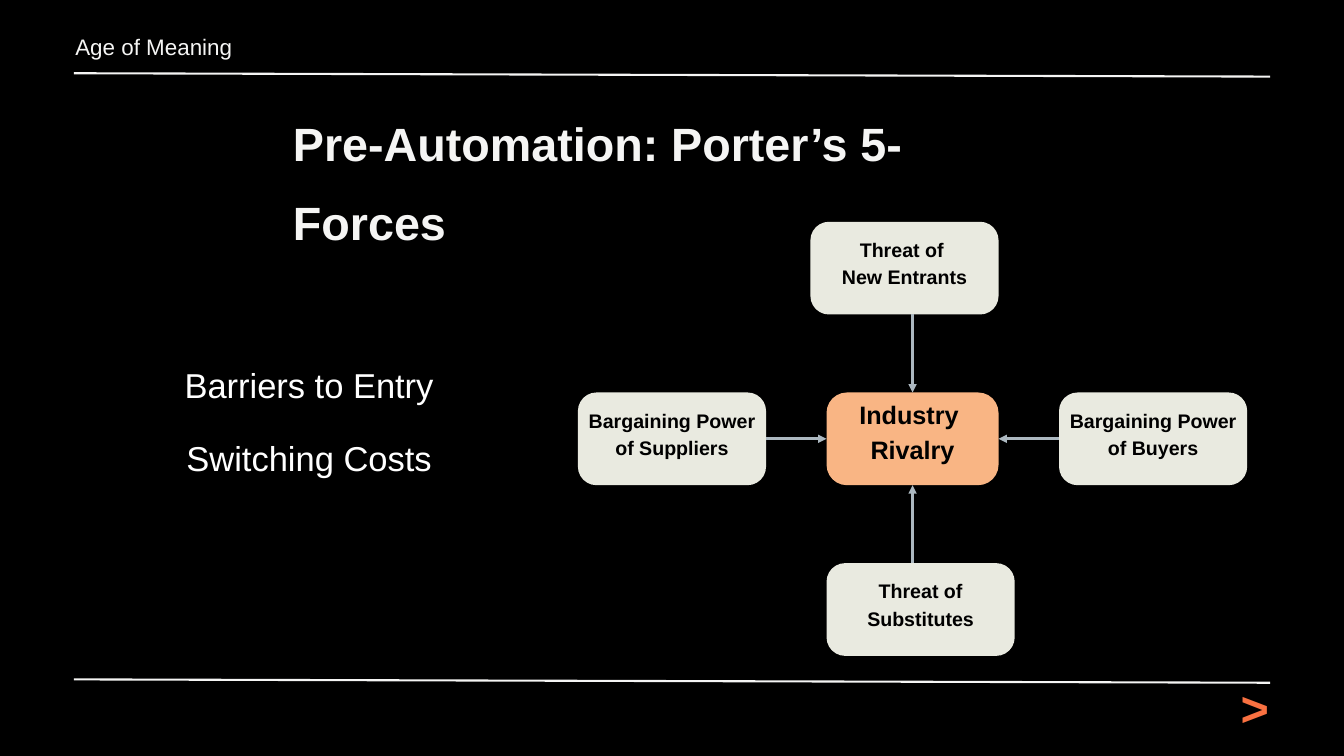
from dataclasses import dataclass

from lxml.etree import SubElement
from pptx import Presentation
from pptx.dml.color import RGBColor
from pptx.enum.shapes import MSO_CONNECTOR as Conn, MSO_SHAPE as Shape
from pptx.enum.text import MSO_ANCHOR as Anchor, PP_ALIGN as Align
from pptx.oxml.ns import qn
from pptx.util import Inches, Pt

COLS, ROWS = 1000, 562.5
CELL = Inches(20) / COLS
TOP, LEFT, BOTTOM, RIGHT = range(4)


@dataclass(frozen=True)
class Theme:
    """Colours as hex, type as (size, line spacing) in points."""
    font: str = "Arial"
    background: str = "000000"
    light: str = "F5F5F4"
    white: str = "FFFFFF"
    ink: str = "000000"
    card: str = "E9EAE0"
    core: str = "F9B584"
    arrow: str = "ACB8C0"
    accent: str = "F97141"
    header: tuple = (24, 40.3)
    title: tuple = (50, 84)
    point: tuple = (37, 51.8)
    force: tuple = (21, 29.4)
    rivalry: tuple = (27, 37.8)
    chevron: tuple = (52, 87.3)
    rule_width: float = 2.25
    arrow_width: float = 3


@dataclass(frozen=True)
class Box:
    """A rectangle measured in grid cells."""
    x: float
    y: float
    w: float
    h: float

    def sub(self, x, y, w, h):
        """Return a box placed relative to this one."""
        return Box(self.x + x, self.y + y, w, h)

    def emu(self):
        """Return left, top, width and height as lengths."""
        return [cells(v) for v in (self.x, self.y, self.w, self.h)]


T = Theme()


def cells(n):
    """Convert grid cells to a length."""
    return round(n * CELL)


def rgb(color):
    """Convert a hex string to a colour."""
    return RGBColor.from_string(color)


def write(sp, text, style, color, bold=False, align=Align.LEFT, anchor=Anchor.TOP, lift=0):
    """Fill a shape with formatted text, raised by half of lift cells."""
    tf = sp.text_frame
    tf.text = text
    tf.word_wrap = True
    tf.vertical_anchor = anchor
    tf.margin_left = tf.margin_right = 0
    tf.margin_top, tf.margin_bottom = cells(-lift / 2), cells(lift / 2)
    size, spacing = style
    for p in tf.paragraphs:
        p.alignment = align
        p.line_spacing = Pt(spacing)
        p.space_before = Pt(0)
        for r in p.runs:
            f = r.font
            f.name, f.size, f.bold = T.font, Pt(size), bold
            f.color.rgb = rgb(color)


def add_text(s, box, *args, **kwargs):
    """Add a text box."""
    write(s.shapes.add_textbox(*box.emu()), *args, **kwargs)


def add_line(s, x1, y1, x2, y2, color, width):
    """Add a straight line without shadow."""
    c = s.shapes.add_connector(Conn.STRAIGHT, *map(cells, (x1, y1, x2, y2)))
    c.line.color.rgb = rgb(color)
    c.line.width = Pt(width)
    SubElement(c._element.spPr, qn("a:effectLst"))
    return c


def add_rule(s, box):
    """Draw the slightly slanting rule across a box."""
    add_line(s, box.x, box.y, box.x + box.w, box.y + box.h, T.light, T.rule_width)


def add_header(s, box):
    """Place the running head and its rule."""
    add_text(s, box.sub(1, 0, 444, 26.5), "Age of Meaning", T.header, T.light)
    add_rule(s, box.sub(0, 38, box.w, 2.5))


def add_title(s, box):
    """Place the slide title."""
    sp = s.shapes.title
    sp.left, sp.top, sp.width, sp.height = box.emu()
    write(sp, "Pre-Automation: Porter’s 5-Forces", T.title, T.light, bold=True)


def add_points(s, box):
    """Stack the key points in equal rows."""
    points = ["Barriers to Entry", "Switching Costs"]
    for i, text in enumerate(points):
        row = box.sub(0, i * box.h / len(points), box.w, 34.5)
        add_text(s, row, text, T.point, T.white, align=Align.CENTER)


def add_card(s, box, text, fill, style, lift, radius):
    """Add a rounded card with centred bold text."""
    sp = s.shapes.add_shape(Shape.ROUNDED_RECTANGLE, *box.emu())
    sp.adjustments[0] = radius
    sp.shadow.inherit = False
    sp.fill.solid()
    sp.fill.fore_color.rgb = rgb(fill)
    sp.line.fill.background()
    write(sp, text, style, T.ink, True, Align.CENTER, Anchor.MIDDLE, lift)
    return sp


def add_arrow(s, start, end, card, core, side):
    """Draw an arrow into one side of the core card."""
    c = add_line(s, *start, *end, T.arrow, T.arrow_width)
    if side in (LEFT, RIGHT):
        c.begin_connect(card, RIGHT if side == LEFT else LEFT)
    c.end_connect(core, side)
    SubElement(c.line._get_or_add_ln(), qn("a:tailEnd"), type="triangle")


def add_forces(s, box):
    """Draw the four forces around industry rivalry."""
    w, h = 140, 69
    middle, low = (box.h - h) / 2, box.h - h
    hub = box.sub(185, middle, 128, h)
    cx, cy = hub.x + hub.w / 2, hub.y + h / 2
    core = add_card(s, hub, "Industry \nRivalry", T.core, T.rivalry, 14, 0.22)
    forces = [
        (TOP, 173, 0, "Threat of \nNew Entrants"),
        (LEFT, 0, middle, "Bargaining Power of Suppliers"),
        (BOTTOM, 185, low, "Threat of Substitutes"),
        (RIGHT, box.w - w, middle, "Bargaining Power of Buyers"),
    ]
    for side, x, y, text in forces:
        b = box.sub(x, y, w, h)
        card = add_card(s, b, text, T.card, T.force, 10, 0.2)
        start, end = {
            TOP: ((cx, b.y + h), (cx, hub.y)),
            LEFT: ((b.x + w, cy), (hub.x, cy)),
            BOTTOM: ((cx, b.y), (cx, hub.y + h)),
            RIGHT: ((b.x, cy), (hub.x + hub.w, cy)),
        }[side]
        add_arrow(s, start, end, card, core, side)


def add_footer(s, box):
    """Place the bottom rule and the chevron."""
    add_rule(s, box.sub(0, 18, box.w, 2.5))
    add_text(s, box.sub(868, 0, 20.5, 57), ">", T.chevron, T.accent, True, Align.CENTER)


def main():
    """Build the slide."""
    prs = Presentation()
    prs.slide_width, prs.slide_height = cells(COLS), cells(ROWS)
    s = prs.slides.add_slide(prs.slide_layouts[5])
    s.background.fill.solid()
    s.background.fill.fore_color.rgb = rgb(T.background)
    add_header(s, Box(55, 16.5, 890, 40.5))
    add_title(s, Box(218, 69, 565, 55.5))
    add_points(s, Box(116.5, 265.5, 227, 109))
    add_forces(s, Box(430, 165, 498, 323))
    add_footer(s, Box(55, 487.5, 890, 57))
    prs.save("out.pptx")


if __name__ == "__main__":
    main()
